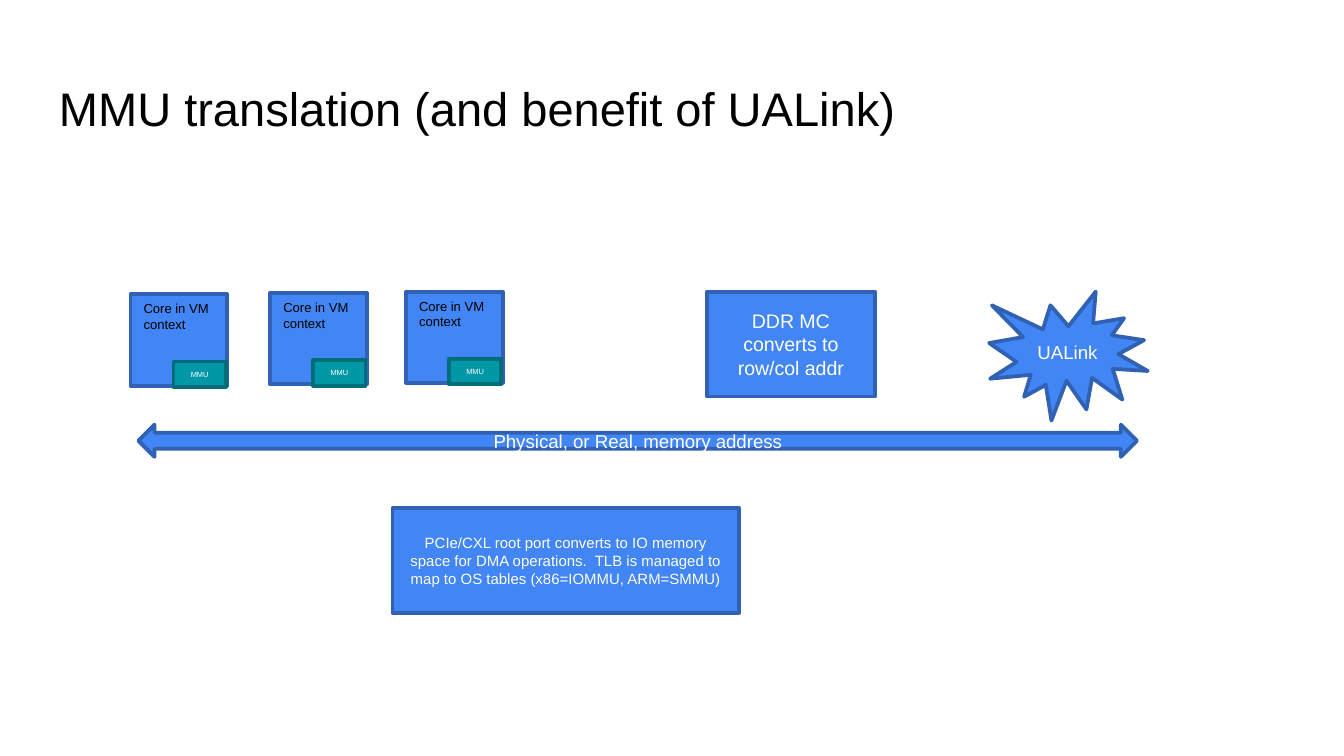
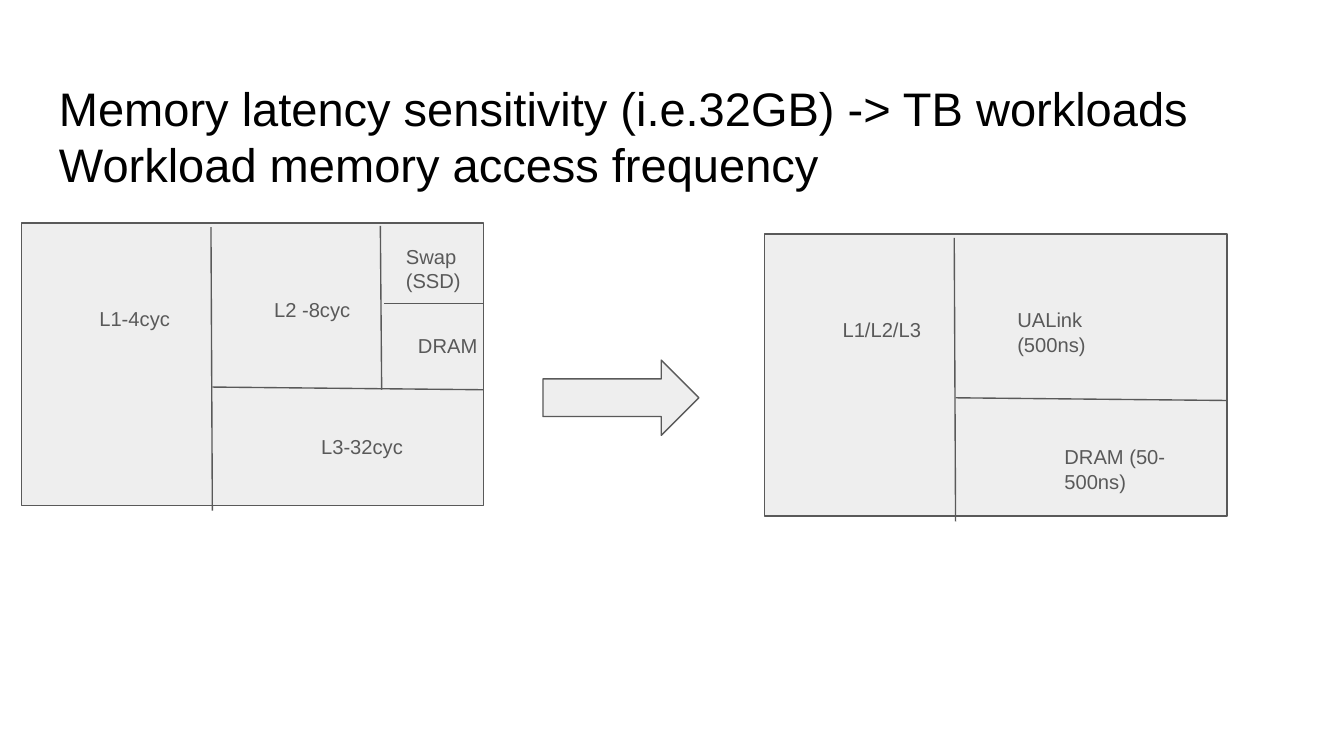
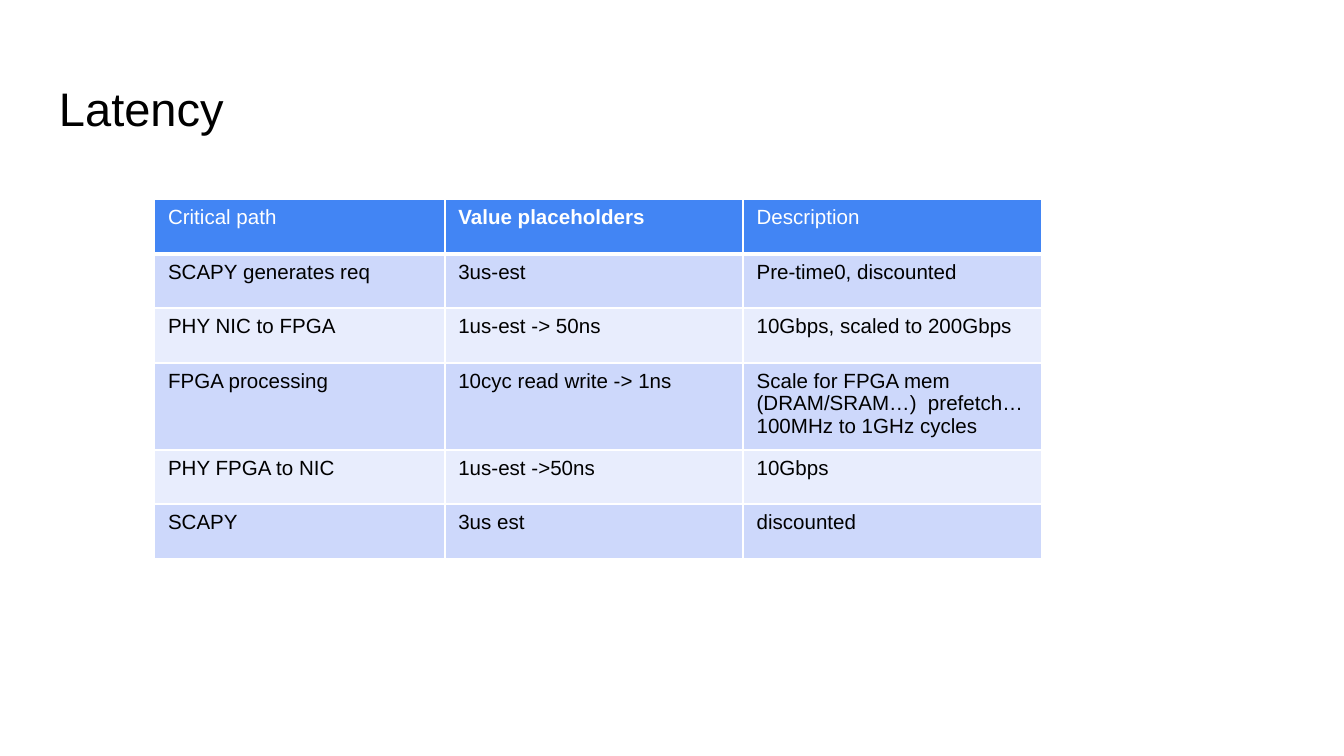
from lxml import etree
from pptx import Presentation
from pptx.dml.color import RGBColor
from pptx.enum.shapes import MSO_CONNECTOR, MSO_SHAPE
from pptx.enum.text import MSO_ANCHOR, PP_ALIGN
from pptx.oxml.ns import qn
from pptx.util import Emu, Pt

PX = 9144  # 100 px to the inch
SLIDE_WIDTH = 1000
FONT = "Arial"
C = {
    "black": "000000", "white": "FFFFFF",
    "blue": "4285F4", "blue_edge": "3061B2",
    "teal": "0097A7", "teal_edge": "006E79",
    "grey": "EEEEEE", "dark_grey": "595959",
    "band_dark": "CDD8FB", "band_light": "E8EDFD",
}
RECT = MSO_SHAPE.RECTANGLE
DOUBLE_ARROW = MSO_SHAPE.LEFT_RIGHT_ARROW
RIGHT_ARROW = MSO_SHAPE.RIGHT_ARROW
BURST = MSO_SHAPE.EXPLOSION1
STRAIGHT = MSO_CONNECTOR.STRAIGHT
LEFT, CENTER = PP_ALIGN.LEFT, PP_ALIGN.CENTER
TOP, MIDDLE = MSO_ANCHOR.TOP, MSO_ANCHOR.MIDDLE


def px(*values):
    return [Emu(v * PX) for v in values]


def rgb(name):
    return RGBColor.from_string(C[name])


def write(tf, text, size=10, color="white", bold=False, align=LEFT,
          anchor=TOP, inset=(10, 5)):
    """Fill a text frame, one paragraph for each line of text."""
    tf.word_wrap = True
    tf.vertical_anchor = anchor
    tf.margin_left = tf.margin_right = Emu(inset[0] * PX)
    tf.margin_top = tf.margin_bottom = Emu(inset[1] * PX)
    for i, line in enumerate(text.split("\n")):
        p = tf.add_paragraph() if i else tf.paragraphs[0]
        p.alignment = align
        r = p.add_run()
        r.text = line
        r.font.name, r.font.size, r.font.bold = FONT, Pt(size), bold
        r.font.color.rgb = rgb(color)


def add_text(shapes, box, text, **fmt):
    write(shapes.add_textbox(*px(*box)).text_frame, text, **fmt)


def add_block(shapes, kind, box, text="", size=10, fill="blue",
              edge="blue_edge", width=2):
    sp = shapes.add_shape(kind, *px(*box))
    sp.shadow.inherit = False
    sp.fill.solid()
    sp.fill.fore_color.rgb = rgb(fill)
    sp.line.color.rgb = rgb(edge)
    sp.line.width = Pt(width)
    if text:
        write(sp.text_frame, text, size=size, align=CENTER, anchor=MIDDLE)


def add_line(shapes, x1, y1, x2, y2):
    line = shapes.add_connector(STRAIGHT, *px(x1, y1, x2, y2))
    line.line.color.rgb = rgb("dark_grey")
    line.line.width = Pt(0.75)
    etree.SubElement(line._element.spPr, qn("a:effectLst"))


def new_slide(prs, title):
    s = prs.slides.add_slide(prs.slide_layouts[6])
    add_text(s.shapes, (34, 49, 932, 63), title, size=25.2, color="black",
             inset=(10, 10))
    return s


def core(s, x, y):
    shapes = s.shapes.add_group_shape().shapes
    add_block(shapes, RECT, (x, y, 72, 68))
    add_text(shapes, (x, y, 72, 34), "Core in VM context", size=7, color="black")
    add_block(shapes, RECT, (x + 32, y + 50, 39, 19), "MMU", size=4,
              fill="teal", edge="teal_edge")


def mmu_slide(prs):
    s = new_slide(prs, "MMU translation (and benefit of UALink)")
    for x, y in ((97, 219), (201, 218), (302, 217)):
        core(s, x, y)
    add_block(s.shapes, DOUBLE_ARROW, (103, 316, 743, 24),
              "Physical, or Real, memory address")
    add_block(s.shapes, RECT, (526, 217, 125, 78),
              "DDR MC converts to row/col addr", size=10.5)
    add_block(s.shapes, RECT, (292, 378, 258, 78),
              "PCIe/CXL root port converts to IO memory space for DMA operations.  "
              "TLB is managed to map to OS tables (x86=IOMMU, ARM=SMMU)", size=8)
    add_block(s.shapes, BURST, (736, 217, 118, 96), "UALink")


def memory_map(s, x, y, labels, extra_lines=()):
    """Draw a memory box split into regions, with labels placed inside it."""
    add_block(s.shapes, RECT, (x, y, 344, 210), fill="grey",
              edge="dark_grey", width=0.75)
    splits = ((141, 3, 142, 214), (142, 122, 344, 124))
    for x1, y1, x2, y2 in (*splits, *extra_lines):
        add_line(s.shapes, x + x1, y + y1, x + x2, y + y2)
    for text, dx, dy, w, h in labels:
        add_text(s.shapes, (x + dx, y + dy, w, h), text, size=10.8,
                 color="dark_grey", inset=(6, 6))


def memory_slide(prs):
    s = new_slide(prs, "Memory latency sensitivity (i.e.32GB) -> TB workloads\n"
                       "Workload memory access frequency")
    memory_map(s, 16, 166, (
        ("L1-4cyc", 52, 56, 66, 30),
        ("L2 -8cyc", 182, 49, 74, 30),
        ("DRAM", 289, 76, 69, 30),
        ("Swap (SSD)", 280, 10, 69, 48),
        ("L3-32cyc", 217, 151, 80, 30),
    ), extra_lines=((267, 2, 268, 124), (270, 60, 344, 60)))
    add_block(s.shapes, RIGHT_ARROW, (404, 268, 116, 56), fill="grey",
              edge="dark_grey", width=0.75)
    memory_map(s, 569, 174, (
        ("L1/L2/L3", 52, 56, 80, 30),
        ("UALink (500ns)", 182, 49, 74, 48),
        ("DRAM (50-500ns)", 217, 151, 101, 48),
    ))


def set_borders(cell, **widths):
    """Give the cell white borders; widths in points by side L, R, T, B."""
    tc_pr = cell._tc.get_or_add_tcPr()
    for side, width in widths.items():
        ln = etree.SubElement(tc_pr, qn(f"a:ln{side}"), w=str(Pt(width)))
        fill = etree.SubElement(ln, qn("a:solidFill"))
        etree.SubElement(fill, qn("a:srgbClr"), val=C["white"])


def latency_table(s, x, y, rows, col_widths, row_heights):
    frame = s.shapes.add_table(len(rows), len(col_widths),
                               *px(x, y, sum(col_widths), sum(row_heights)))
    table = frame.table
    table.first_row = table.horz_banding = False
    for col, w in zip(table.columns, px(*col_widths)):
        col.width = w
    for row, h in zip(table.rows, px(*row_heights)):
        row.height = h
    for i, texts in enumerate(rows):
        header = i == 0
        band = "blue" if header else "band_dark" if i % 2 else "band_light"
        for j, text in enumerate(texts):
            cell = table.cell(i, j)
            set_borders(cell, L=1, R=1, T=3 if i == 1 else 1, B=3 if header else 1)
            cell.fill.solid()
            cell.fill.fore_color.rgb = rgb(band)
            write(cell.text_frame, text, size=11, bold=header and j == 1,
                  color="white" if header else "black")


def latency_slide(prs):
    s = new_slide(prs, "Latency")
    rows = (
        ("Critical path", "Value placeholders", "Description"),
        ("SCAPY generates req", "3us-est", "Pre-time0, discounted"),
        ("PHY NIC to FPGA", "1us-est -> 50ns", "10Gbps, scaled to 200Gbps"),
        ("FPGA processing", "10cyc read write -> 1ns",
         "Scale for FPGA mem (DRAM/SRAM…)  prefetch…\n100MHz to 1GHz cycles"),
        ("PHY FPGA to NIC", "1us-est ->50ns", "10Gbps"),
        ("SCAPY", "3us est", "discounted"),
    )
    latency_table(s, 115, 148, rows, (216, 222, 222), (41, 40, 41, 61, 40, 41))


def main():
    prs = Presentation()
    prs.slide_width = Emu(SLIDE_WIDTH * PX)
    prs.slide_height = Emu(SLIDE_WIDTH * PX * 9 // 16)
    mmu_slide(prs)
    memory_slide(prs)
    latency_slide(prs)
    prs.save("out.pptx")


if __name__ == "__main__":
    main()
